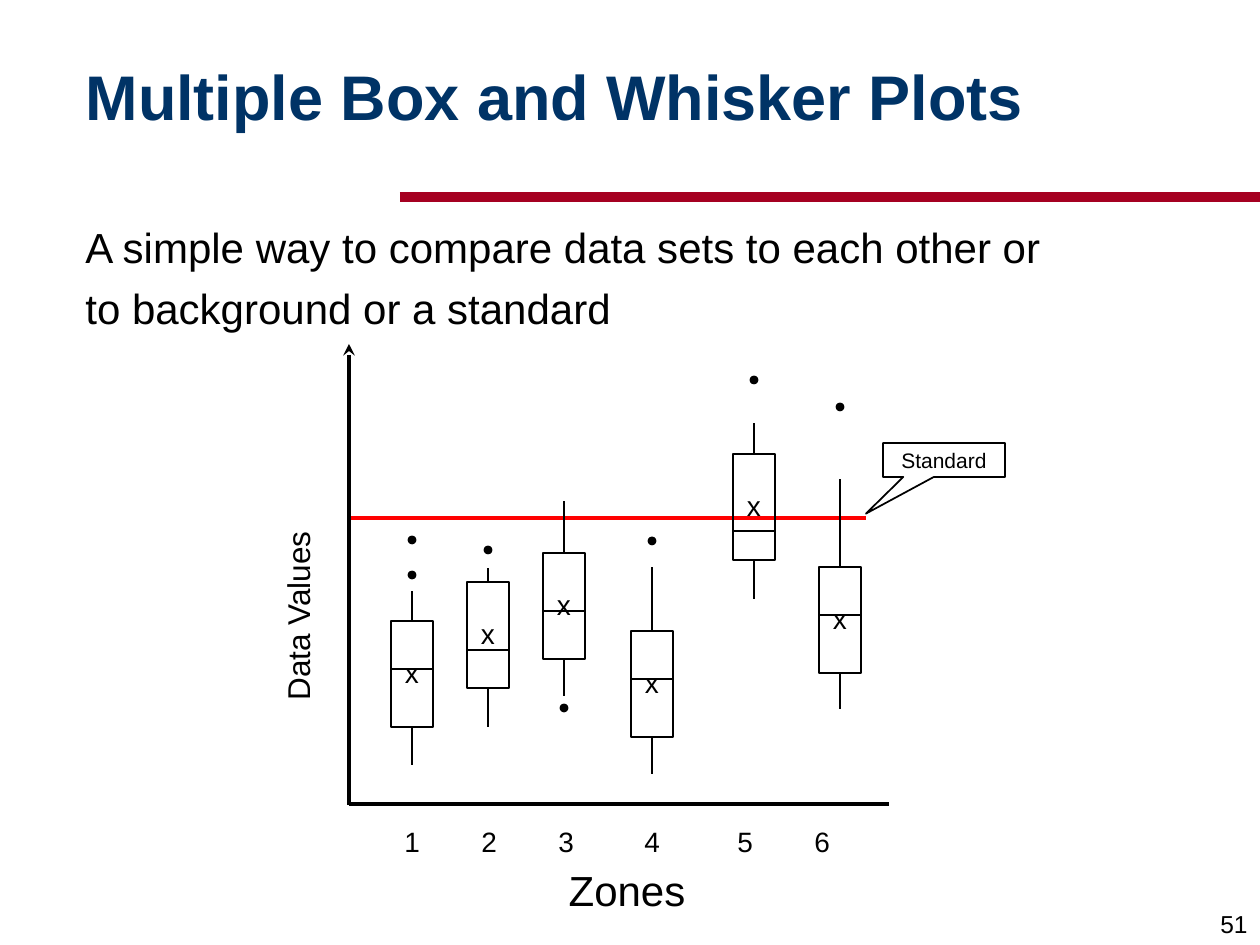
from pptx import Presentation
from pptx.dml.color import RGBColor
from pptx.enum.shapes import MSO_CONNECTOR, MSO_SHAPE
from pptx.enum.text import MSO_ANCHOR, PP_ALIGN
from pptx.oxml.ns import qn
from pptx.util import Pt
from lxml.etree import SubElement

EMU_PER_PIXEL = 914400 / 126
COLORS = {
    "black": "000000",
    "white": "FFFFFF",
    "navy": "003366",
    "crimson": "A50021",
    "red": "FF0000",
}
BOX_WIDTH, BOX_HEIGHT, DOT_SIZE = 42, 106, 7
ZONES = [
    {"label": "1", "label_x": 412, "center": 412, "top": 621, "median": 669, "whiskers": (591, 765), "outliers": (540, 575)},
    {"label": "2", "label_x": 489, "center": 488, "top": 582, "median": 650, "whiskers": (568, 727), "outliers": (550,)},
    {"label": "3", "label_x": 566, "center": 564, "top": 553, "median": 611, "whiskers": (501, 696), "outliers": (708,)},
    {"label": "4", "label_x": 652, "center": 652, "top": 631, "median": 679, "whiskers": (567, 774), "outliers": (541,)},
    {"label": "5", "label_x": 745, "center": 754, "top": 454, "median": 531, "whiskers": (423, 599), "outliers": (380,)},
    {"label": "6", "label_x": 822, "center": 840, "top": 567, "median": 615, "whiskers": (479, 709), "outliers": (407,)},
]


def px(value):
    return round(value * EMU_PER_PIXEL)


def color(name):
    return RGBColor.from_string(COLORS[name])


def set_attributes(target, values):
    for name, value in values.items():
        setattr(target, name, value)


class SlideBuilder:
    font_name = "Arial"

    def __init__(self, presentation):
        self.slide = presentation.slides.add_slide(presentation.slide_layouts[5])

    def set_text(self, shape, lines, size, align=PP_ALIGN.LEFT, ink="black", bold=False,
                 frame_format=None, paragraph_format=None, gap=0):
        frame = shape.text_frame
        set_attributes(frame, frame_format or {})
        frame.text = "\n".join(lines)
        for index, paragraph in enumerate(frame.paragraphs):
            set_attributes(paragraph, {
                "alignment": align,
                "space_before": Pt(gap if index else 0),
                **(paragraph_format or {}),
            })
            set_attributes(paragraph.font, {"name": self.font_name, "size": Pt(size), "bold": bold})
            paragraph.font.color.rgb = color(ink)

    def title(self, text, left, top, width, height):
        shape = self.slide.shapes.title
        set_attributes(shape, {"left": px(left), "top": px(top), "width": px(width), "height": px(height)})
        self.set_text(shape, [text], 36, ink="navy", bold=True,
                      frame_format={"vertical_anchor": MSO_ANCHOR.MIDDLE, "word_wrap": True},
                      paragraph_format={"line_spacing": 0.9})

    def text(self, lines, left, top, width, height, size, align=PP_ALIGN.CENTER,
             wrap=False, anchor=MSO_ANCHOR.TOP, rotation=0, gap=0):
        shape = self.slide.shapes.add_textbox(px(left), px(top), px(width), px(height))
        shape.rotation = rotation
        self.set_text(shape, lines, size, align, gap=gap,
                      frame_format={"word_wrap": wrap, "vertical_anchor": anchor})

    def shape(self, kind, left, top, width, height, fill=None):
        shape = self.slide.shapes.add_shape(kind, px(left), px(top), px(width), px(height))
        shape.shadow.inherit = False
        if fill:
            shape.fill.solid()
            shape.fill.fore_color.rgb = color(fill)
        else:
            shape.fill.background()
        shape.line.color.rgb = color("black")
        shape.line.width = Pt(1)
        return shape

    def line(self, start, end, width=1, ink="black", head=None, joined=None):
        points = [px(value) for value in (*start, *end)]
        connector = self.slide.shapes.add_connector(MSO_CONNECTOR.STRAIGHT, *points)
        connector.line.color.rgb = color(ink)
        connector.line.width = Pt(width)
        properties = connector._element.spPr
        if head:
            SubElement(properties.find(qn("a:ln")), qn("a:headEnd"), type=head)
        SubElement(properties, qn("a:effectLst"))
        if joined:
            connector.begin_connect(*joined)

    def box_plot(self, center, top, median, whiskers):
        left, bottom = center - BOX_WIDTH // 2, top + BOX_HEIGHT
        box = self.shape(MSO_SHAPE.RECTANGLE, left, top, BOX_WIDTH, BOX_HEIGHT)
        for edge, site, tip in zip((top, bottom), (0, 2), whiskers):
            self.line((center, edge), (center, tip), joined=(box, site))
        self.line((left, median), (left + BOX_WIDTH, median))
        self.text(["x"], center - 20, top + 28, 40, 46, 16)

    def outlier(self, center_x, center_y):
        radius = DOT_SIZE / 2
        self.shape(MSO_SHAPE.OVAL, center_x - radius, center_y - radius, DOT_SIZE, DOT_SIZE, "black")

    def callout(self, text, left, top, width, height, adjustments):
        shape = self.shape(MSO_SHAPE.RECTANGULAR_CALLOUT, left, top, width, height, "white")
        for index, value in enumerate(adjustments):
            shape.adjustments[index] = value
        self.set_text(shape, [text], 12, PP_ALIGN.CENTER,
                      frame_format={"vertical_anchor": MSO_ANCHOR.MIDDLE})


def main():
    presentation = Presentation()
    set_attributes(presentation, {"slide_width": px(1260), "slide_height": px(945)})
    builder = SlideBuilder(presentation)

    builder.line((400, 197), (1260, 197), 6, "crimson")
    builder.text(["51"], 998, 882, 262, 63, 14, PP_ALIGN.RIGHT, wrap=True, anchor=MSO_ANCHOR.BOTTOM)
    builder.title("Multiple Box and Whisker Plots", 73, 21, 1124, 158)
    builder.text(["A simple way to compare data sets to each other or", "to background or a standard"],
                 73, 215, 1124, 125, 24, PP_ALIGN.LEFT, wrap=True, gap=6)

    builder.line((349, 518), (866, 518), 2.25, "red")
    builder.line((349, 344), (349, 805), 2.25, head="stealth")
    builder.line((349, 804), (889, 804), 2.25)
    builder.text(["Data Values"], 199, 591, 197, 50, 18, rotation=270)
    builder.text(["Zones"], 556, 858, 142, 63, 24)

    for zone in ZONES:
        builder.box_plot(zone["center"], zone["top"], zone["median"], zone["whiskers"])
        builder.text([zone["label"]], zone["label_x"] - 20, 818, 40, 46, 16)
        for value in zone["outliers"]:
            builder.outlier(zone["center"], value)

    builder.callout("Standard", 883, 443, 122, 34, (-0.64, 1.58))
    presentation.save("out.pptx")


if __name__ == "__main__":
    main()
